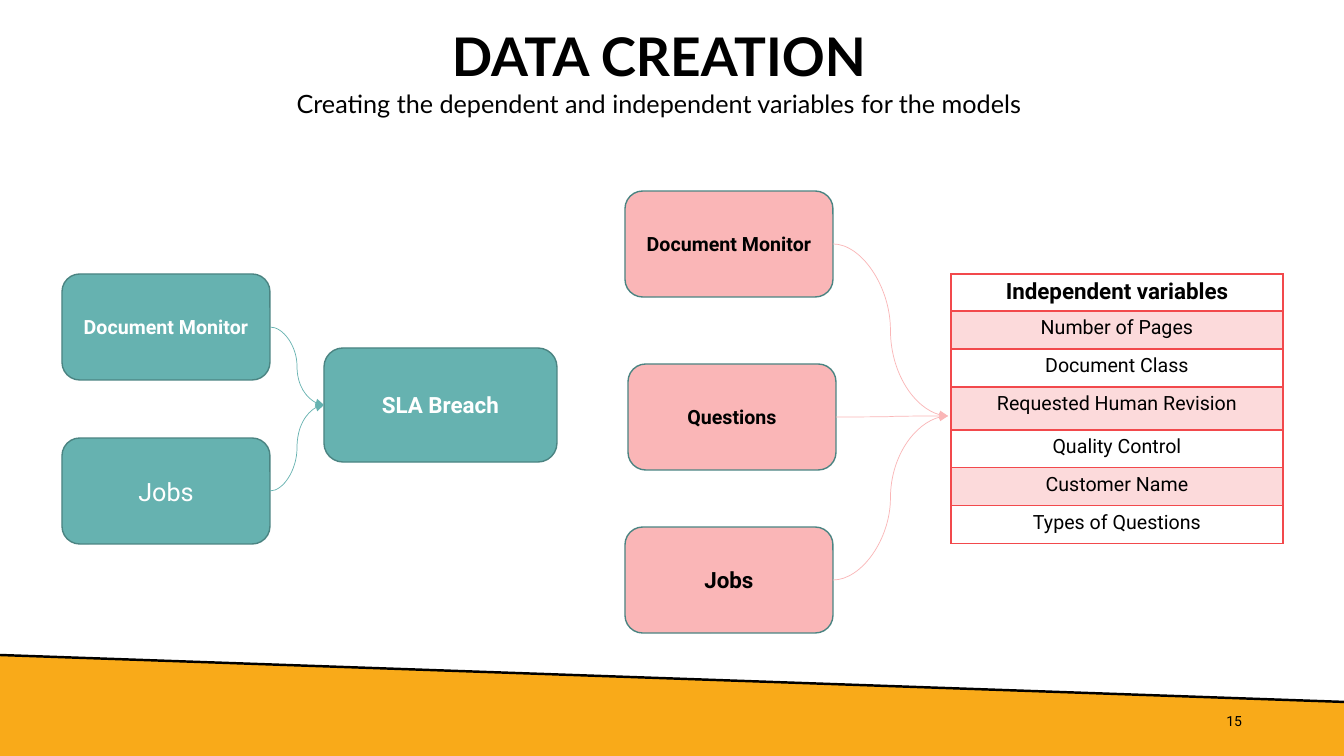
from dataclasses import dataclass

from lxml import etree
from pptx import Presentation
from pptx.dml.color import RGBColor
from pptx.enum.shapes import MSO_CONNECTOR, MSO_SHAPE
from pptx.enum.text import MSO_ANCHOR, PP_ALIGN
from pptx.oxml import parse_xml
from pptx.oxml.ns import nsdecls, qn
from pptx.util import Pt

PX = 914400 / 100.8  # EMU in one px

CENTER, RIGHT = PP_ALIGN.CENTER, PP_ALIGN.RIGHT
TOP, MIDDLE = MSO_ANCHOR.TOP, MSO_ANCHOR.MIDDLE
STRAIGHT, CURVE = MSO_CONNECTOR.STRAIGHT, MSO_CONNECTOR.CURVE
ROUNDED = MSO_SHAPE.ROUNDED_RECTANGLE
LEFT_SIDE, RIGHT_SIDE = 1, 3

BLACK = RGBColor(0x00, 0x00, 0x00)
WHITE = RGBColor(0xFF, 0xFF, 0xFF)
ORANGE = RGBColor(0xF9, 0xAA, 0x19)
TEAL = RGBColor(0x66, 0xB2, 0xB0)
DARK_TEAL = RGBColor(0x4B, 0x84, 0x82)
PINK = RGBColor(0xFA, 0xB6, 0xB7)
RED = RGBColor(0xF2, 0x49, 0x4C)


@dataclass
class Box:
    text: str
    x: int
    y: int
    w: int = 208
    h: int = 106
    size: int = 14
    bold: bool = True


TARGET = Box("SLA Breach", 324, 348, 233, 114, size=16)
TARGET_SOURCES = [
    Box("Document Monitor", 62, 274),
    Box("Jobs", 62, 438, size=18, bold=False),
]
VARIABLE_SOURCES = [
    Box("Document Monitor", 625, 191),
    Box("Questions", 628, 364),
    Box("Jobs", 625, 527, size=16),
]
VARIABLES_POINT = (948, 416)
TABLE_ROWS = [
    ("Independent variables", 37),
    ("Number of Pages", 38),
    ("Document Class", 38),
    ("Requested Human Revision", 43),
    ("Quality Control", 38),
    ("Customer Name", 38),
    ("Types of Questions", 38),
]


def px(value: int) -> int:
    return round(value * PX)


def write(tf, text: str, size: int, font: str = "Roboto", color: RGBColor = BLACK,
          bold: bool = False, align=CENTER, anchor=MIDDLE,
          line_spacing: float | None = None, before: int = 0) -> None:
    tf.word_wrap = True
    tf.vertical_anchor = anchor
    p = tf.paragraphs[0]
    p.alignment = align
    p.space_before = Pt(before)
    if line_spacing:
        p.line_spacing = line_spacing
    r = p.add_run()
    r.text = text
    r.font.size, r.font.name, r.font.bold = Pt(size), font, bold
    r.font.color.rgb = color


def add_text(s, text: str, x: int, y: int, w: int, h: int, **fmt) -> None:
    tb = s.shapes.add_textbox(px(x), px(y), px(w), px(h))
    write(tb.text_frame, text, **fmt)


def add_box(s, box: Box, fill: RGBColor, color: RGBColor):
    sp = s.shapes.add_shape(ROUNDED, px(box.x), px(box.y), px(box.w), px(box.h))
    sp.shadow.inherit = False
    sp.fill.solid()
    sp.fill.fore_color.rgb = fill
    sp.line.color.rgb = DARK_TEAL
    sp.line.width = Pt(1)
    write(sp.text_frame, box.text, box.size, color=color, bold=box.bold)
    return sp


def add_line(s, kind, start: tuple[int, int], end: tuple[int, int],
             color: RGBColor, width: float):
    cn = s.shapes.add_connector(kind, *map(px, start + end))
    cn.line.color.rgb = color
    cn.line.width = Pt(width)
    etree.SubElement(cn._element.spPr, qn("a:effectLst"))
    return cn


def add_arrow(s, source, end: tuple[int, int], color: RGBColor, target=None) -> None:
    cn = add_line(s, CURVE, (0, 0), end, color, 0.5)
    cn.begin_connect(source, RIGHT_SIDE)
    if target is not None:
        cn.end_connect(target, LEFT_SIDE)
    ln = cn.line._get_or_add_ln()
    etree.SubElement(ln, qn("a:tailEnd"), type="triangle")


def set_borders(cell, widths: dict[str, int]) -> None:
    tcPr = cell._tc.get_or_add_tcPr()
    for i, (side, width) in enumerate(widths.items()):
        tcPr.insert(i, parse_xml(
            f'<a:ln{side} {nsdecls("a")} w="{Pt(width)}"><a:solidFill>'
            f'<a:srgbClr val="{RED}"/></a:solidFill></a:ln{side}>'))


def add_variables_table(s, x: int, y: int, w: int) -> None:
    height = sum(h for _, h in TABLE_ROWS)
    table = s.shapes.add_table(len(TABLE_ROWS), 1, px(x), px(y), px(w), px(height)).table
    table.first_row = table.horz_banding = False
    for i, (text, h) in enumerate(TABLE_ROWS):
        table.rows[i].height = px(h)
        cell = table.cell(i, 0)
        header = i == 0
        write(cell.text_frame, text, 16 if header else 14, bold=header, anchor=TOP)
        if i % 2:
            cell.fill.solid()
            cell.fill.fore_color.rgb = RED
            tint = cell._tc.tcPr.find(".//" + qn("a:srgbClr"))
            etree.SubElement(tint, qn("a:alpha"), val="20000")
        else:
            cell.fill.background()
        set_borders(cell, {"L": 1, "R": 1, "T": 2 if i == 1 else 1, "B": 2 if header else 1})


def add_footer(s) -> None:
    fb = s.shapes.build_freeform(-1, 655, scale=PX)
    fb.add_line_segments([(1346, 702), (1346, 759), (-1, 756)], close=True)
    band = fb.convert_to_shape()
    band.shadow.inherit = False
    band.fill.solid()
    band.fill.fore_color.rgb = ORANGE
    band.line.fill.background()
    add_line(s, STRAIGHT, (-1, 655), (1346, 702), BLACK, 1.75)
    add_text(s, "15", 950, 701, 302, 40, size=10, align=RIGHT)


def main() -> None:
    prs = Presentation()
    prs.slide_width, prs.slide_height = px(1344), px(756)
    s = prs.slides.add_slide(prs.slide_layouts[6])

    add_footer(s)

    # Headings
    add_text(s, "DATA CREATION", 160, 24, 998, 71, size=38, font="Lato",
             bold=True, line_spacing=0.9)
    add_text(s, "Creating the dependent and independent variables for the models",
             160, 87, 998, 43, size=18, font="Lato", anchor=TOP,
             line_spacing=0.9, before=10)

    # Dependent variable
    target = add_box(s, TARGET, TEAL, WHITE)
    for box in TARGET_SOURCES:
        add_arrow(s, add_box(s, box, TEAL, WHITE), (TARGET.x, TARGET.y), TEAL, target)

    # Independent variables
    for box in VARIABLE_SOURCES:
        add_arrow(s, add_box(s, box, PINK, BLACK), VARIABLES_POINT, PINK)
    add_variables_table(s, 951, 274, 332)

    prs.save("out.pptx")


if __name__ == "__main__":
    main()
